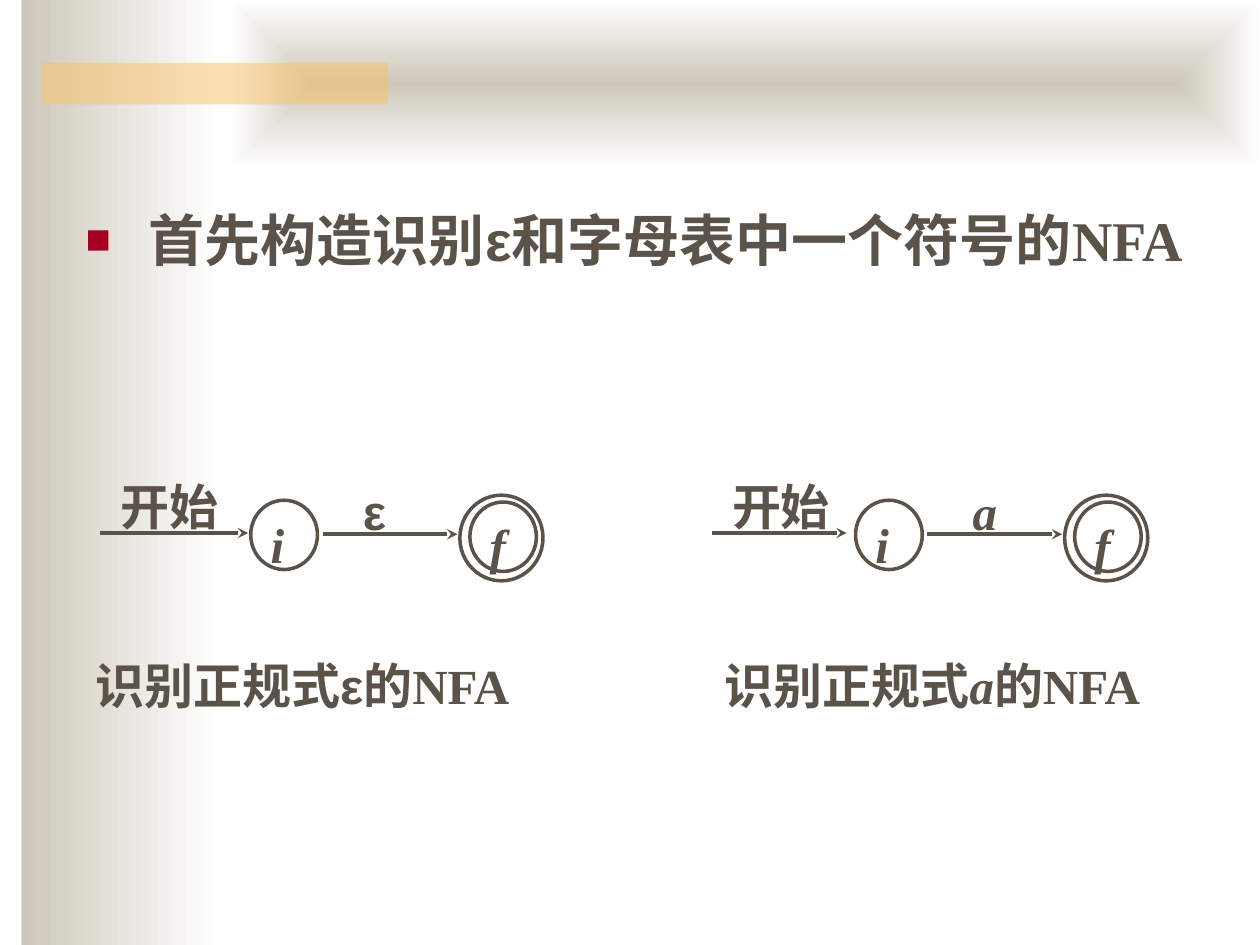
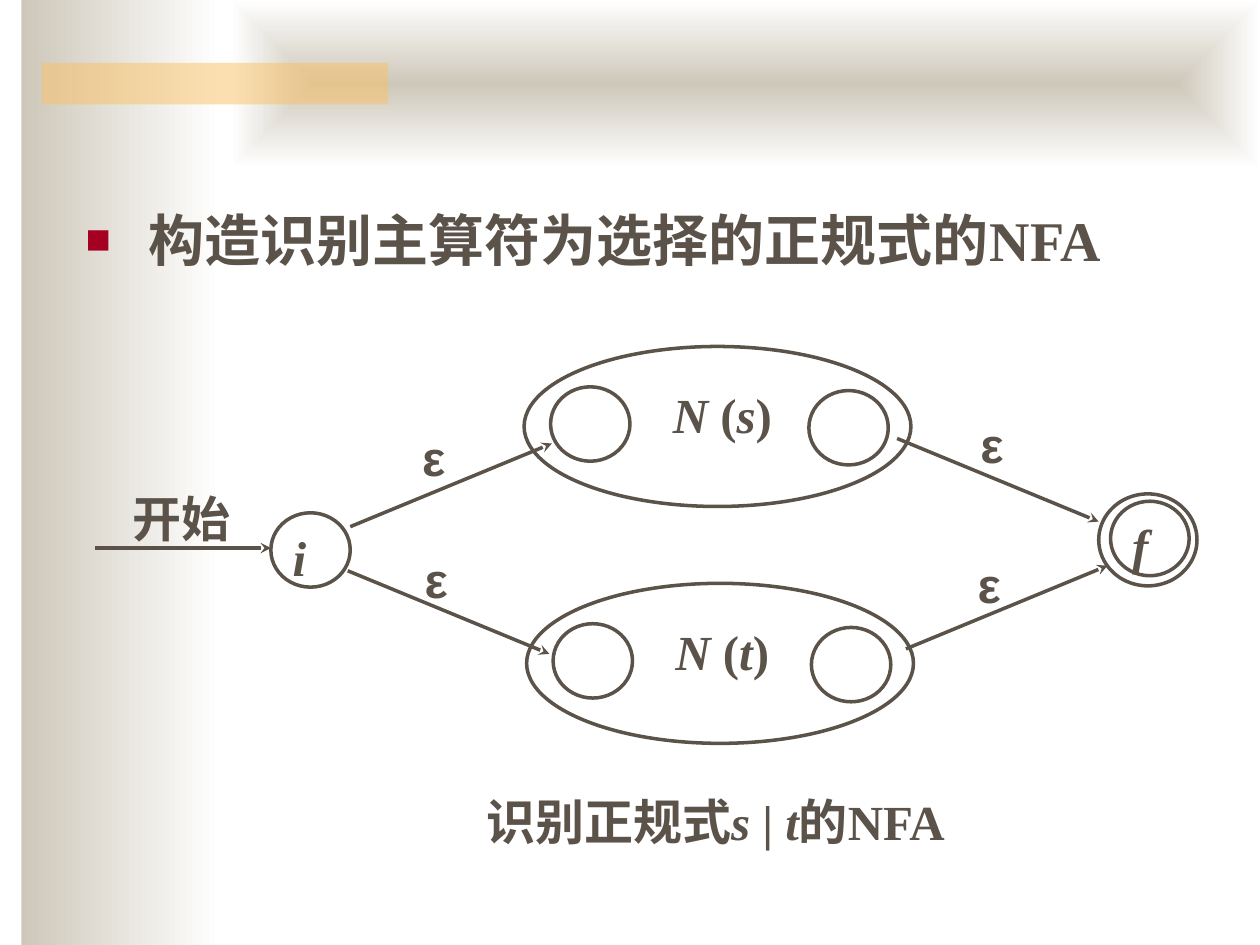
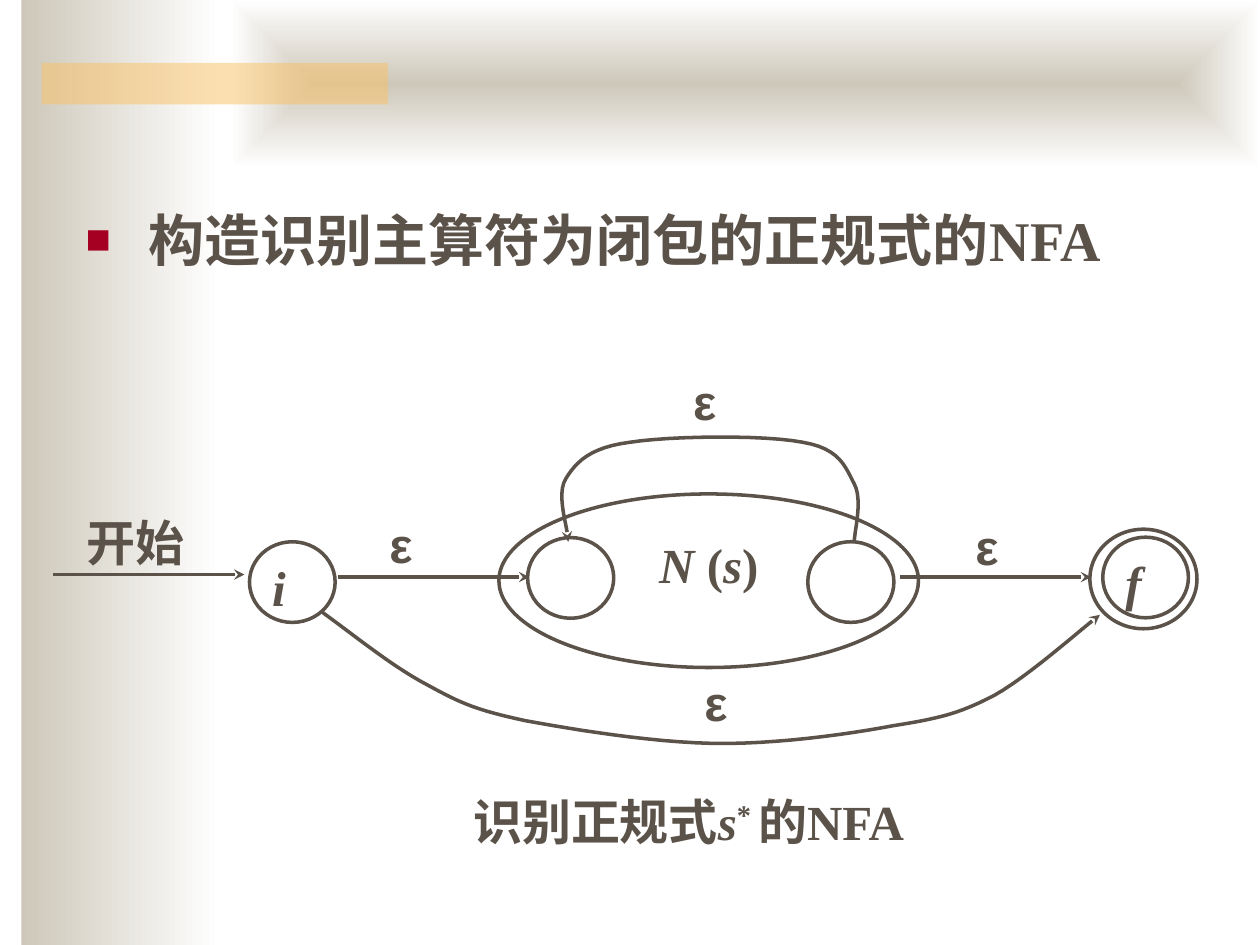
from dataclasses import dataclass
from typing import NamedTuple, Optional

import lxml.etree
import pptx
import pptx.dml.color
import pptx.enum.shapes
import pptx.enum.text
import pptx.oxml.ns
import pptx.presentation
import pptx.slide
import pptx.text.text
import pptx.util

Inches = pptx.util.Inches
Pt = pptx.util.Pt
RGBColor = pptx.dml.color.RGBColor
Align = pptx.enum.text.PP_ALIGN
ShapeKind = pptx.enum.shapes.MSO_SHAPE
qn = pptx.oxml.ns.qn

INK = RGBColor(0x5B, 0x52, 0x49)
SAND = RGBColor(0xCE, 0xC8, 0xBA)
WHITE = RGBColor(0xFF, 0xFF, 0xFF)
AMBER = RGBColor(0xFA, 0xC1, 0x64)
BULLET_RED = RGBColor(0xA5, 0x00, 0x21)

SERIF = "Times New Roman"
GREEK = "Arial"
HAN = "Noto Sans CJK SC"
LINE_WIDTH = Pt(2)
CURVE_STEPS = 12

Point = tuple[float, float]


class Run(NamedTuple):
    text: str
    font: str = SERIF
    italic: bool = False
    raised: bool = False


class Margins(NamedTuple):
    left: float
    top: float
    right: float
    bottom: float


TIGHT = Margins(0.06, 0.03, 0.06, 0.03)
ROOMY = Margins(0.09, 0.03, 0.1, 0.05)
STATE_MARGINS = Margins(0.08, 0.03, 0.02, 0.02)

EPSILON = (Run("ε", GREEK),)
START = (Run("开始"),)
NFA = Run("的NFA")
RECOGNISES = Run("识别正规式")


@dataclass(frozen=True)
class Label:
    left: float
    top: float
    width: float
    height: float
    runs: tuple[Run, ...]
    align: Align = Align.JUSTIFY
    margins: Margins = TIGHT


@dataclass(frozen=True)
class State:
    left: float
    top: float
    width: float
    height: float
    name: str = ""


@dataclass(frozen=True)
class Arrow:
    start: Point
    end: Point


@dataclass(frozen=True)
class CurvedArrow:
    start: Point
    curves: tuple[tuple[Point, Point, Point], ...]


Part = Label | State | Arrow | CurvedArrow


def caption(left: float, top: float, width: float, *runs: Run) -> Label:
    return Label(left, top, width, 0.5, (RECOGNISES, *runs), Align.CENTER)


def final_state(left: float, top: float, width: float, height: float) -> list[State]:
    inner = State(left + 0.12 * width, top + 0.08 * height, 0.8 * width, 0.81 * height, "f")
    return [State(left, top, width, height), inner]


def sub_automaton(left: float, top: float, width: float, operand: str) -> list[Part]:
    scale = width / 3.07

    def place(x: float, y: float, w: float, h: float) -> tuple[float, ...]:
        return left + x * scale, top + y * scale, w * scale, h * scale

    name = (Run("N ", italic=True), Run("("), Run(operand, italic=True), Run(")"))
    return [
        State(*place(0, 0, 3.07, 1.27)),
        State(*place(0.21, 0.32, 0.63, 0.59)),
        State(*place(2.26, 0.35, 0.63, 0.59)),
        Label(*place(1.09, 0.27, 1.07, 0.7), name, margins=ROOMY),
    ]


def write_runs(paragraph: pptx.text.text._Paragraph, runs: tuple[Run, ...], size: int) -> None:
    font = paragraph.font
    font.size, font.bold = Pt(size), True
    font.color.rgb = INK
    same_font = len({run.font for run in runs}) == 1
    same_slant = len({run.italic for run in runs}) == 1
    if same_font:
        font.name = runs[0].font
    if same_slant:
        font.italic = runs[0].italic
    defaults = paragraph._p.pPr.find(qn("a:defRPr"))
    lxml.etree.SubElement(defaults, qn("a:ea"), typeface=HAN)
    for run in runs:
        written = paragraph.add_run()
        written.text = run.text
        if not same_font:
            written.font.name = run.font
        if not same_slant:
            written.font.italic = run.italic
        if run.raised:
            written._r.get_or_add_rPr().set("baseline", "30000")


def fill_frame(frame: pptx.text.text.TextFrame, runs: tuple[Run, ...],
               align: Align, margins: Margins) -> None:
    frame.word_wrap = True
    frame.vertical_anchor = pptx.enum.text.MSO_ANCHOR.TOP
    frame.margin_left, frame.margin_top, frame.margin_right, frame.margin_bottom = map(Inches, margins)
    paragraph = frame.paragraphs[0]
    paragraph.alignment = align
    write_runs(paragraph, runs, 28)


def add_arrowhead(outline: pptx.dml.line.LineFormat) -> None:
    outline.color.rgb = INK
    outline.width = LINE_WIDTH
    lxml.etree.SubElement(outline._get_or_add_ln(), qn("a:tailEnd"), type="stealth")


def draw_label(slide: pptx.slide.Slide, label: Label) -> None:
    box = slide.shapes.add_textbox(*map(Inches, (label.left, label.top, label.width, label.height)))
    fill_frame(box.text_frame, label.runs, label.align, label.margins)


def draw_state(slide: pptx.slide.Slide, state: State) -> None:
    frame = map(Inches, (state.left, state.top, state.width, state.height))
    circle = slide.shapes.add_shape(ShapeKind.OVAL, *frame)
    circle.shadow.inherit = False
    circle.fill.background()
    circle.line.color.rgb = INK
    circle.line.width = LINE_WIDTH
    if state.name:
        fill_frame(circle.text_frame, (Run(state.name, italic=True),), Align.LEFT, STATE_MARGINS)


def draw_arrow(slide: pptx.slide.Slide, arrow: Arrow) -> None:
    ends = map(Inches, (*arrow.start, *arrow.end))
    edge = slide.shapes.add_connector(pptx.enum.shapes.MSO_CONNECTOR.STRAIGHT, *ends)
    add_arrowhead(edge.line)
    lxml.etree.SubElement(edge.element.spPr, qn("a:effectLst"))


def bezier(a: float, b: float, c: float, d: float, t: float) -> float:
    u = 1 - t
    return u**3 * a + 3 * u * u * t * b + 3 * u * t * t * c + t**3 * d


def draw_curved_arrow(slide: pptx.slide.Slide, arrow: CurvedArrow) -> None:
    vertices = []
    start = arrow.start
    for controls in arrow.curves:
        xs, ys = zip(start, *controls)
        for step in range(1, CURVE_STEPS + 1):
            t = step / CURVE_STEPS
            vertices.append((Inches(bezier(*xs, t)), Inches(bezier(*ys, t))))
        start = controls[-1]
    builder = slide.shapes.build_freeform(*map(Inches, arrow.start))
    builder.add_line_segments(vertices, close=False)
    edge = builder.convert_to_shape()
    edge.shadow.inherit = False
    edge.fill.background()
    add_arrowhead(edge.line)


DRAWERS = {Label: draw_label, State: draw_state, Arrow: draw_arrow, CurvedArrow: draw_curved_arrow}


def write_topic(slide: pptx.slide.Slide, runs: tuple[Run, ...]) -> None:
    title = slide.shapes.title
    title.element.getparent().remove(title.element)
    topic = slide.placeholders[1]
    topic.left, topic.top, topic.width, topic.height = map(Inches, (0.58, 1.58, 9, 1.33))
    topic.text_frame.auto_size = pptx.enum.text.MSO_AUTO_SIZE.NONE
    paragraph = topic.text_frame.paragraphs[0]
    properties = paragraph._p.get_or_add_pPr()
    properties.set("marL", str(Inches(0.5)))
    properties.set("indent", str(Inches(-0.5)))
    colour = lxml.etree.SubElement(properties, qn("a:buClr"))
    lxml.etree.SubElement(colour, qn("a:srgbClr"), val=str(BULLET_RED))
    lxml.etree.SubElement(properties, qn("a:buSzPct"), val="75000")
    lxml.etree.SubElement(properties, qn("a:buFont"), typeface=GREEK)
    lxml.etree.SubElement(properties, qn("a:buChar"), char="■")
    paragraph.space_before = Pt(0)
    write_runs(paragraph, runs, 32)


def add_band(slide: pptx.slide.Slide, left: float, top: float, width: float, height: float,
             solid: Optional[RGBColor] = None) -> pptx.shapes.autoshape.Shape:
    band = slide.shapes.add_shape(ShapeKind.RECTANGLE, *map(Inches, (left, top, width, height)))
    band.shadow.inherit = False
    band.line.fill.background()
    if solid:
        band.fill.solid()
        band.fill.fore_color.rgb = solid
    else:
        band.fill.gradient()
        band.fill.gradient_angle = 0
        for stop, colour in zip(band.fill.gradient_stops, (SAND, WHITE)):
            stop.color.rgb = colour
    return band


def move_bands_to_layout(slide: pptx.slide.Slide) -> None:
    side = add_band(slide, 0.17, 0, 1.58, 7.5)
    header = add_band(slide, 1.83, 0, 8.17, 1.33)
    accent = add_band(slide, 0.33, 0.5, 2.75, 0.33, AMBER)

    linear = next(header.element.iter(qn("a:lin")))
    rectangular = lxml.etree.Element(qn("a:path"), path="rect")
    lxml.etree.SubElement(rectangular, qn("a:fillToRect"), l="50000", t="50000", r="50000", b="50000")
    linear.getparent().replace(linear, rectangular)

    amber = next(accent.element.iter(qn("a:srgbClr")))
    lxml.etree.SubElement(amber, qn("a:alpha"), val="50000")

    layout = slide.slide_layout
    for footer in list(layout.placeholders)[2:]:
        footer.element.getparent().remove(footer.element)
    for position, band in enumerate((side, header, accent), start=2):
        layout.shapes.element.insert(position, band.element)


def add_slide(deck: pptx.presentation.Presentation, topic: tuple[Run, ...],
              parts: list[Part]) -> None:
    slide = deck.slides.add_slide(deck.slide_layouts[1])
    if len(deck.slides) == 1:
        move_bands_to_layout(slide)
    write_topic(slide, topic)
    for part in parts:
        DRAWERS[type(part)](slide, part)


def single_symbol_nfa(initial_left: float, start_from: float, start_to: float, start_left: float,
                      symbol_left: float, caption_left: float, symbol: Run) -> list[Part]:
    return [
        Label(start_left, 3.75, 1.01, 0.53, START),
        Arrow((start_from, 4.23), (start_to, 4.23)),
        State(initial_left, 3.97, 0.53, 0.55, "i"),
        Label(symbol_left, 3.79, 0.43, 0.44, (symbol,)),
        Arrow((initial_left + 0.57, 4.24), (initial_left + 1.64, 4.24)),
        *final_state(initial_left + 1.66, 3.93, 0.66, 0.68),
        caption(caption_left, 5.17, 3.96, symbol, NFA._replace(font=SERIF)),
    ]


SYMBOL_PARTS = [
    *single_symbol_nfa(1.99, 0.79, 1.97, 0.9, 2.82, 0.42, EPSILON[0]),
    *single_symbol_nfa(6.79, 5.65, 6.72, 5.75, 7.66, 5.42, Run("a", italic=True)),
]

CHOICE_PARTS = [
    Label(0.99, 3.85, 1.02, 0.56, START),
    Arrow((0.75, 4.35), (2.15, 4.35)),
    State(2.15, 4.07, 0.63, 0.59, "i"),
    *sub_automaton(4.16, 2.75, 3.07, "s"),
    *sub_automaton(4.18, 4.63, 3.07, "t"),
    *final_state(8.72, 3.92, 0.78, 0.73),
    Arrow((2.78, 4.18), (4.38, 3.52)),
    Arrow((2.76, 4.53), (4.36, 5.19)),
    Arrow((7.12, 3.48), (8.72, 4.14)),
    Arrow((7.19, 5.15), (8.79, 4.49)),
    *(Label(left, top, 0.51, 0.47, EPSILON)
      for left, top in ((3.29, 3.36), (3.31, 4.33), (7.72, 3.26), (7.7, 4.37))),
    caption(3.33, 6.25, 4.7, Run("s ", italic=True), Run("| "), Run("t", italic=True), NFA),
]

SKIP_EDGE = CurvedArrow((2.56, 4.86), (
    ((2.86, 5.08), (3.13, 5.3), (3.4, 5.44)),
    ((3.67, 5.59), (3.8, 5.64), (4.17, 5.72)),
    ((4.55, 5.79), (5.16, 5.89), (5.65, 5.9)),
    ((6.14, 5.91), (6.72, 5.83), (7.09, 5.76)),
    ((7.47, 5.7), (7.62, 5.66), (7.89, 5.52)),
    ((8.16, 5.37), (8.56, 5.01), (8.73, 4.88)),
))
REPEAT_EDGE = CurvedArrow((6.78, 4.3), (
    ((6.78, 4.22), (6.85, 3.97), (6.78, 3.84)),
    ((6.71, 3.71), (6.67, 3.56), (6.37, 3.51)),
    ((6.07, 3.45), (5.31, 3.46), (5, 3.51)),
    ((4.68, 3.55), (4.57, 3.67), (4.49, 3.8)),
    ((4.41, 3.93), (4.51, 4.19), (4.51, 4.3)),
))

CLOSURE_PARTS = [
    Label(0.63, 4.04, 1.11, 0.61, START),
    Arrow((0.42, 4.56), (1.94, 4.56)),
    State(1.98, 4.3, 0.68, 0.64, "i"),
    *sub_automaton(3.96, 3.92, 3.33, "s"),
    *final_state(8.65, 4.2, 0.85, 0.79),
    Arrow((2.68, 4.58), (4.2, 4.58)),
    Arrow((7.14, 4.58), (8.66, 4.58)),
    SKIP_EDGE,
    REPEAT_EDGE,
    *(Label(left, top, 0.65, 0.59, EPSILON, margins=ROOMY)
      for left, top in ((3, 4.05), (5.5, 5.31), (7.65, 4.07), (5.41, 2.92))),
    caption(2.92, 6.25, 5.09, Run("s", italic=True), Run("* ", raised=True), NFA),
]


def main() -> None:
    deck = pptx.Presentation()
    deck.slide_width, deck.slide_height = Inches(10), Inches(7.5)
    add_slide(deck, (Run("首先构造识别", HAN), *EPSILON, Run("和字母表中一个符号的", HAN), Run("NFA")),
              SYMBOL_PARTS)
    for operator, parts in (("选择", CHOICE_PARTS), ("闭包", CLOSURE_PARTS)):
        add_slide(deck, (Run(f"构造识别主算符为{operator}的正规式的", HAN), Run("NFA")), parts)
    deck.save("out.pptx")


if __name__ == "__main__":
    main()
